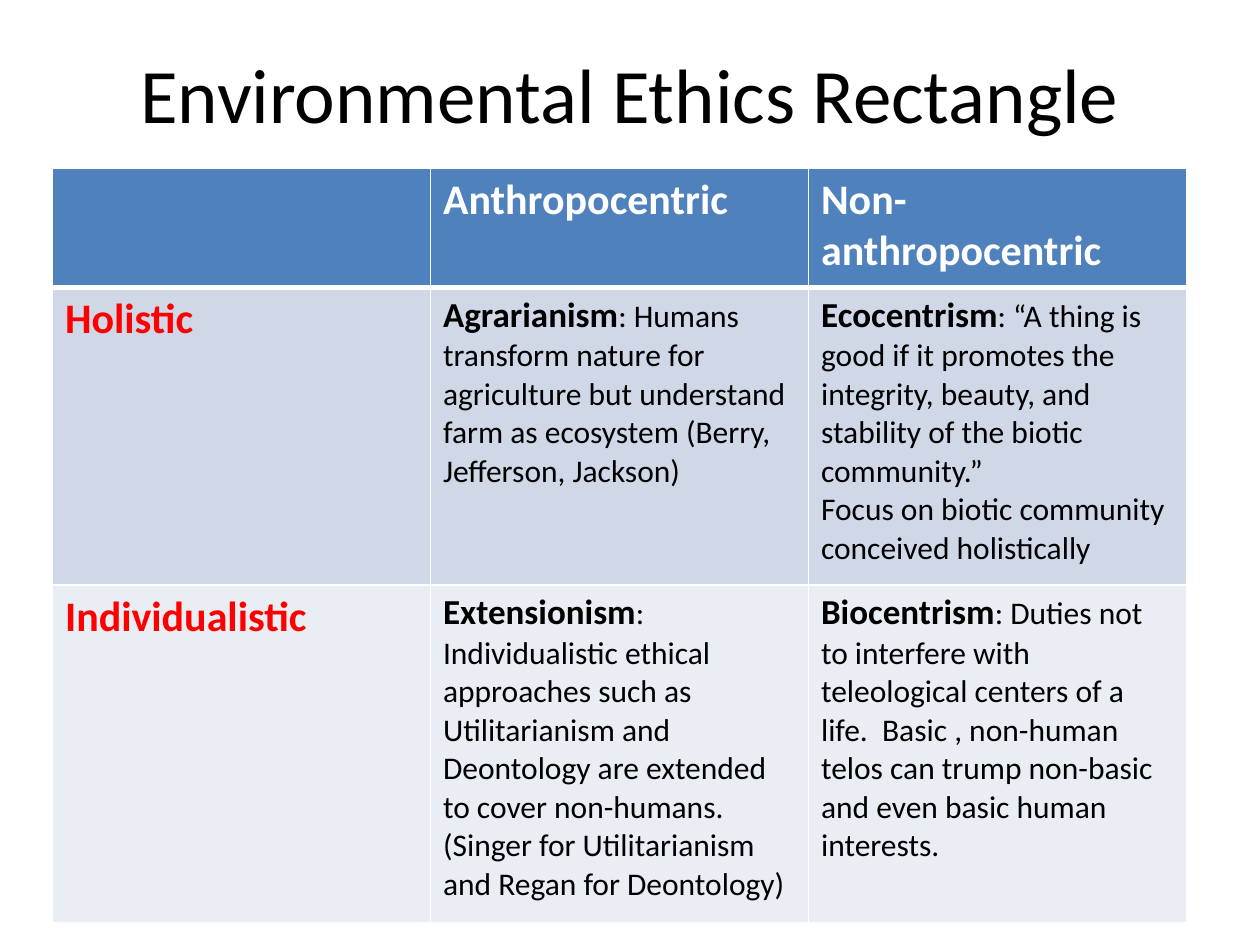
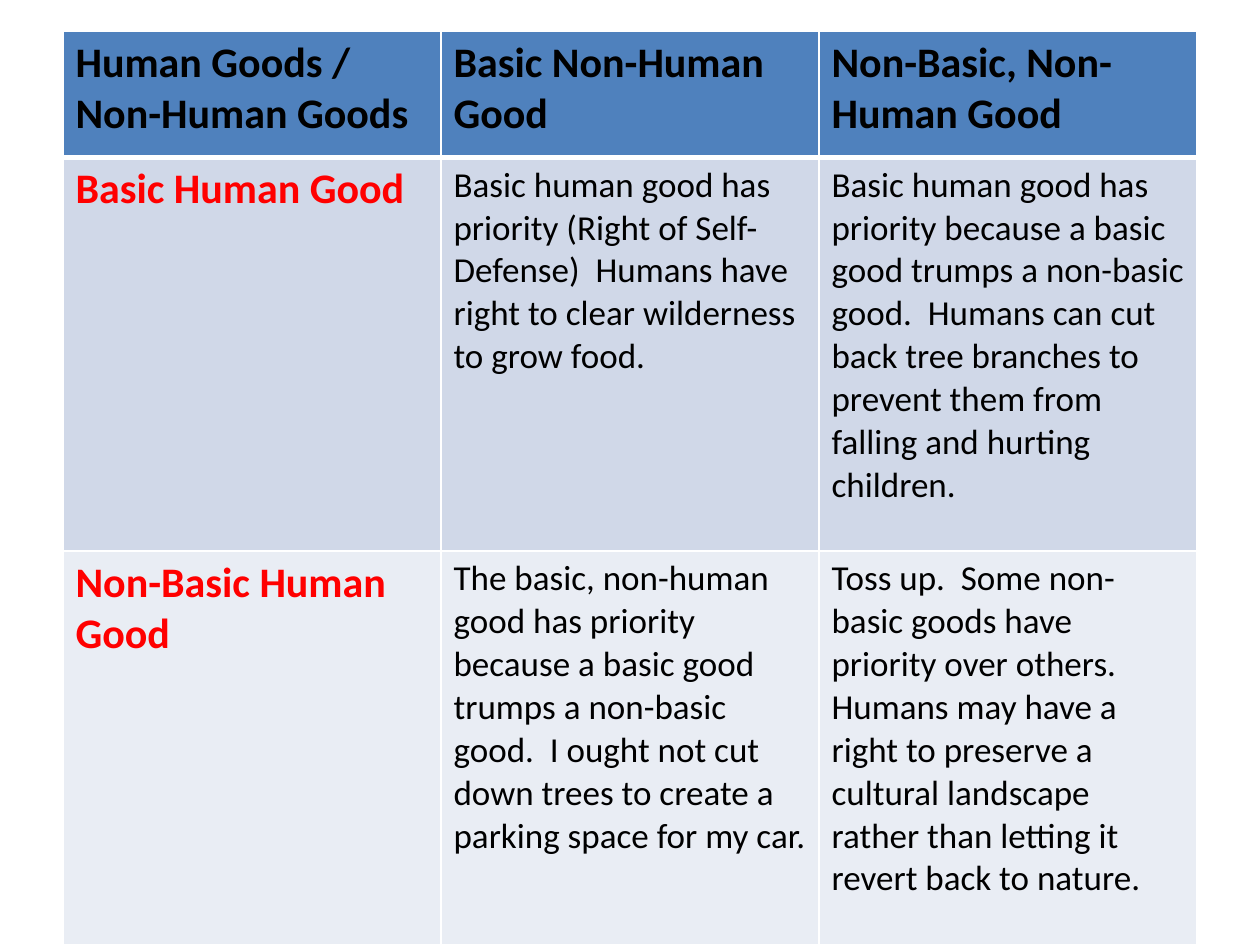
"""Build two slides of environmental ethics tables."""
from dataclasses import dataclass

from lxml import etree
from pptx import Presentation
from pptx.dml.color import RGBColor
from pptx.enum.text import MSO_ANCHOR, MSO_AUTO_SIZE, PP_ALIGN
from pptx.oxml.ns import qn
from pptx.util import Pt

CENTER = PP_ALIGN.CENTER
MIDDLE = MSO_ANCHOR.MIDDLE
NO_FIT = MSO_AUTO_SIZE.NONE
TITLE_ONLY, BLANK = 5, 6


@dataclass(frozen=True)
class Theme:
    font: str = "Calibri"
    black: str = "000000"
    white: str = "FFFFFF"
    label: str = "FF0000"
    header: str = "4F81BD"
    bands: tuple = ("D0D8E8", "E9EDF4")
    title_size: int = 44
    head_size: int = 24
    term_size: int = 20
    body_size: int = 18
    rule: int = 1
    head_rule: int = 3


def add_text(p, text, *, size, color, font, bold=False):
    r = p.add_run()
    r.text = text
    r.font.name = font
    r.font.size = Pt(size)
    r.font.bold = bold
    r.font.color.rgb = RGBColor.from_string(color)


def set_borders(cell, color, **widths):
    tc_pr = cell._tc.get_or_add_tcPr()
    for side in "LRTB":
        ln = etree.SubElement(tc_pr, qn(f"a:ln{side}"), w=str(Pt(widths[side])))
        fill = etree.SubElement(ln, qn("a:solidFill"))
        etree.SubElement(fill, qn("a:srgbClr"), val=color)


class Deck:
    def __init__(self, theme):
        self.theme = theme
        self.prs = Presentation()
        self.prs.slide_width, self.prs.slide_height = Pt(720), Pt(540)
        self.s = None

    def add_slide(self, layout):
        self.s = self.prs.slides.add_slide(self.prs.slide_layouts[layout])

    def title(self, text, left, top, width, height):
        t, sp = self.theme, self.s.shapes.title
        sp.left, sp.top, sp.width, sp.height = map(Pt, (left, top, width, height))
        tf = sp.text_frame
        tf.word_wrap, tf.auto_size, tf.vertical_anchor = True, NO_FIT, MIDDLE
        p = tf.paragraphs[0]
        p.alignment = CENTER
        add_text(p, text, size=t.title_size, color=t.black, font=t.font)

    def table(self, rows, left, top, col_width, heights, head_color, body_size):
        t, n_cols = self.theme, len(rows[0])
        table = self.s.shapes.add_table(
            len(rows), n_cols, Pt(left), Pt(top),
            Pt(col_width * n_cols), Pt(sum(heights))).table
        for col in table.columns:
            col.width = Pt(col_width)
        for i, (row, height) in enumerate(zip(rows, heights)):
            table.rows[i].height = Pt(height)
            for j, content in enumerate(row):
                cell = table.cell(i, j)
                set_borders(cell, t.white, L=t.rule, R=t.rule,
                            T=t.head_rule if i == 1 else t.rule,
                            B=t.head_rule if i == 0 else t.rule)
                cell.fill.solid()
                fill = t.bands[(i - 1) % 2] if i else t.header
                cell.fill.fore_color.rgb = RGBColor.from_string(fill)
                if i and j:
                    self.body(cell.text_frame, content, body_size)
                elif content:
                    add_text(cell.text_frame.paragraphs[0], content,
                             size=t.head_size, font=t.font, bold=True,
                             color=t.label if i else head_color)

    def body(self, tf, content, size):
        t = self.theme
        term, paragraphs = content
        for k, text in enumerate(paragraphs):
            p = tf.add_paragraph() if k else tf.paragraphs[0]
            if term and not k:
                add_text(p, term, size=t.term_size, color=t.black,
                         font=t.font, bold=True)
            add_text(p, text, size=size, color=t.black, font=t.font)


ETHICS = [
    ["", "Anthropocentric", "Non-anthropocentric"],
    ["Holistic",
     ("Agrarianism", [
         ": Humans transform nature for agriculture but understand farm as "
         "ecosystem (Berry, Jefferson, Jackson)"]),
     ("Ecocentrism", [
         ": “A thing is good if it promotes the integrity, beauty, and "
         "stability of the biotic community.”",
         "Focus on biotic community conceived holistically"])],
    ["Individualistic",
     ("Extensionism", [
         ": Individualistic ethical approaches such as Utilitarianism and "
         "Deontology are extended to cover non-humans. (Singer for "
         "Utilitarianism and Regan for Deontology)"]),
     ("Biocentrism", [
         ": Duties not to interfere with teleological centers of a life.  "
         "Basic , non-human telos can trump non-basic and even basic human "
         "interests."])],
]

GOODS = [
    ["Human Goods / Non-Human Goods", "Basic Non-Human Good",
     "Non-Basic, Non-Human Good"],
    ["Basic Human Good",
     ("", ["Basic human good has priority (Right of Self-Defense)  Humans have "
           "right to clear wilderness to grow food."]),
     ("", ["Basic human good has priority because a basic good trumps a "
           "non-basic good.  Humans can cut back tree branches to prevent them "
           "from falling and hurting children."])],
    ["Non-Basic Human Good",
     ("", ["The basic, non-human good has priority because a basic good trumps "
           "a non-basic good.  I ought not cut down trees to create a parking "
           "space for my car."]),
     ("", ["Toss up.  Some non-basic goods have priority over others.  Humans "
           "may have a right to preserve a cultural landscape rather than "
           "letting it revert back to nature."])],
]


def main():
    theme = Theme()
    deck = Deck(theme)
    deck.add_slide(TITLE_ONLY)
    deck.title("Environmental Ethics Rectangle", 36, 21.6, 648, 62.6)
    deck.table(ETHICS, 30, 96, 216, (68.4, 170, 193),
               theme.white, theme.body_size)
    deck.add_slide(BLANK)
    deck.table(GOODS, 36, 18, 216, (72, 225, 225),
               theme.black, theme.term_size)
    deck.prs.save("out.pptx")


main()
